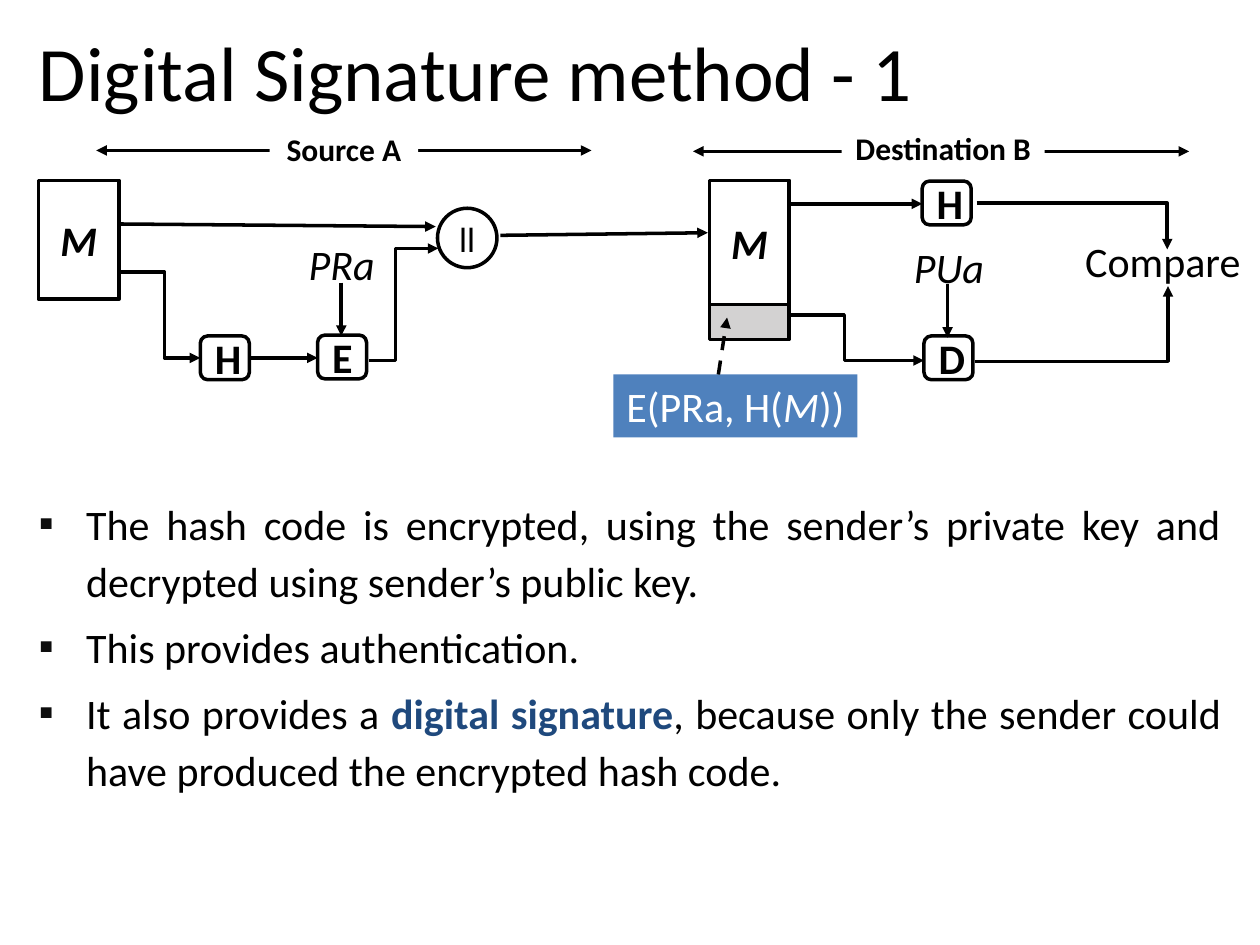
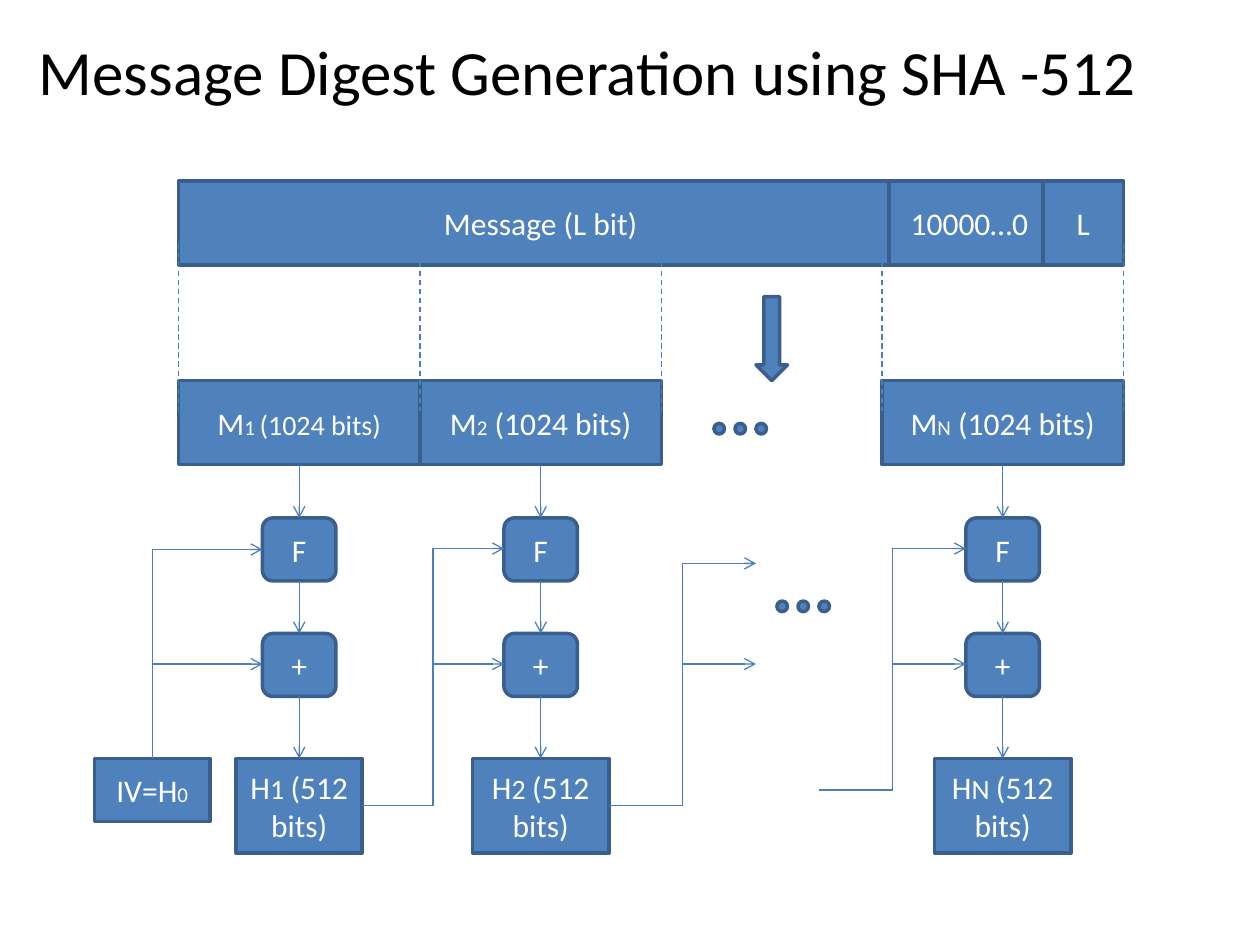
import dataclasses
import lxml.etree
import pptx
import pptx.dml.color
import pptx.enum.dml
import pptx.enum.shapes
import pptx.enum.text
import pptx.oxml.ns
import pptx.util


@dataclasses.dataclass(frozen=True)
class Theme:
    """Colours, font and type sizes shared by the slides."""
    font: str = "Calibri"
    black: str = "000000"
    white: str = "FFFFFF"
    grey: str = "D3D2D2"
    blue: str = "4F81BD"
    edge: str = "3A5F8C"
    wire: str = "4B7EBC"
    navy: str = "1F497D"
    dot: str = "0D0D0D"
    head: int = 44
    long_head: int = 36
    text: int = 24
    join: int = 20
    label: int = 18
    small: int = 16
    sub: int = 12
    bold_line: float = 2
    thin_line: float = 0.75


THEME = Theme()
SHAPE = pptx.enum.shapes.MSO_SHAPE
LINK = pptx.enum.shapes.MSO_CONNECTOR
ALIGN = pptx.enum.text.PP_ALIGN
ANCHOR = pptx.enum.text.MSO_ANCHOR
DASH = pptx.enum.dml.MSO_LINE.DASH


def rgb(code):
    """Turn a hex code into a colour."""
    return pptx.dml.color.RGBColor.from_string(code)


def node(parent, tag, **attrs):
    """Append one drawing element to its parent."""
    return lxml.etree.SubElement(parent, pptx.oxml.ns.qn(tag), attrs)


def add_run(para, text, size, color, bold=False, slant=False):
    """Add one formatted run."""
    run = para.add_run()
    run.text = text
    font = run.font
    font.name, font.size, font.bold, font.italic = THEME.font, pptx.util.Pt(size), bold, slant
    font.color.rgb = rgb(color)


def stroke(shape, color, width, head=None, tail=None, dash=None):
    """Style a line and its arrowheads."""
    line = shape.line
    line.color.rgb = rgb(color)
    line.width = pptx.util.Pt(width)
    if dash:
        line.dash_style = dash
    outline = shape._element.spPr.find(pptx.oxml.ns.qn("a:ln"))
    for tag, kind in (("a:headEnd", head), ("a:tailEnd", tail)):
        if kind:
            node(outline, tag, type=kind)


@dataclasses.dataclass
class Pane:
    """A region that places its parts from its own top left corner."""
    slide: object
    left: float
    top: float

    def spot(self, x, y):
        """Turn a local point into a slide point."""
        return pptx.util.Pt(self.left + x), pptx.util.Pt(self.top + y)

    def block(self, kind, box, runs=(), fill=None, edge=None, wrap=True):
        """Add a shape with centred runs of text, size, colour and style."""
        x, y, width, height = box
        shape = self.slide.shapes.add_shape(
            kind, *self.spot(x, y), pptx.util.Pt(width), pptx.util.Pt(height))
        shape.shadow.inherit = False
        if fill:
            shape.fill.solid()
            shape.fill.fore_color.rgb = rgb(fill)
        else:
            shape.fill.background()
        if edge:
            stroke(shape, edge, THEME.bold_line)
        else:
            shape.line.fill.background()
        frame = shape.text_frame
        frame.word_wrap = wrap
        frame.vertical_anchor = ANCHOR.MIDDLE
        para = frame.paragraphs[0]
        para.alignment = ALIGN.CENTER
        for run in runs:
            add_run(para, *run)

    def wire(self, start, end, color, width, kind=LINK.STRAIGHT, bend=None, **style):
        """Add a connector between two points."""
        line = self.slide.shapes.add_connector(kind, *self.spot(*start), *self.spot(*end))
        stroke(line, color, width, **style)
        props = line._element.spPr
        node(props, "a:effectLst")
        if bend:
            props.find(pptx.oxml.ns.qn("a:prstGeom")).set("prst", bend)

    def route(self, first, *rest):
        """Add a black path with corners that ends in an arrow."""
        path = self.slide.shapes.build_freeform(*self.spot(*first))
        path.add_line_segments([self.spot(*point) for point in rest], close=False)
        shape = path.convert_to_shape()
        shape.shadow.inherit = False
        shape.fill.background()
        stroke(shape, THEME.black, THEME.bold_line, tail="triangle")

    def ink(self, start, end, **style):
        """Add a heavy black arrow."""
        style.setdefault("tail", "triangle")
        self.wire(start, end, THEME.black, THEME.bold_line, **style)

    def thin(self, start, end, **style):
        """Add a thin blue line."""
        self.wire(start, end, THEME.wire, THEME.thin_line, **style)

    def white(self, kind, box, text, size=THEME.text, bold=True, slant=False):
        """Add a white box with a black edge."""
        self.block(kind, box, [(text, size, THEME.black, bold, slant)], THEME.white, THEME.black)

    def step(self, text, x, y):
        """Add one small rounded box of the signing flow."""
        self.white(SHAPE.ROUNDED_RECTANGLE, (x, y, 28, 25), text)

    def note(self, text, box, slant=False):
        """Add a plain label without a box."""
        self.block(SHAPE.RECTANGLE, box, [(text, THEME.text, THEME.black, False, slant)],
                   wrap=False)

    def span(self, text, left, right, y, box):
        """Add a two-way arrow with its name in the middle."""
        self.ink((left, y), (right, y), head="triangle")
        self.block(SHAPE.RECTANGLE, box, [(text, THEME.label, THEME.black, True)],
                   THEME.white, wrap=False)

    def solid(self, box, *parts, kind=SHAPE.RECTANGLE):
        """Add a blue box with parts of text and size."""
        self.block(kind, box, [(text, size, THEME.white) for text, size in parts],
                   THEME.blue, THEME.edge)

    def dots(self, x, y):
        """Add three dots in a row."""
        for i in range(3):
            self.solid((x + 12 * i, y, 6, 6), kind=SHAPE.FLOWCHART_CONNECTOR)


def place(holder, left, top, width, height):
    """Move a placeholder to its box and stop its text from shrinking."""
    holder.left, holder.top = pptx.util.Pt(left), pptx.util.Pt(top)
    holder.width, holder.height = pptx.util.Pt(width), pptx.util.Pt(height)
    holder.text_frame.auto_size = pptx.enum.text.MSO_AUTO_SIZE.NONE
    return holder.text_frame


def add_title(slide, text, size):
    """Fill the title placeholder."""
    frame = place(slide.shapes.title, 15, 8.5, 690, 63.5)
    frame.vertical_anchor = ANCHOR.MIDDLE
    para = frame.paragraphs[0]
    para.alignment = ALIGN.LEFT
    add_run(para, text, size, THEME.black)


def add_list(holder, items):
    """Fill the body with square bullets."""
    frame = place(holder, 15, 277, 690, 199.5)
    for i, item in enumerate(items):
        para = frame.add_paragraph() if i else frame.paragraphs[0]
        para.alignment = ALIGN.JUSTIFY
        para.line_spacing = 1.14
        props = para._p.get_or_add_pPr()
        props.set("marL", str(pptx.util.Pt(27)))
        props.set("indent", str(pptx.util.Pt(-27)))
        node(node(props, "a:buClr"), "a:srgbClr", val=THEME.dot)
        node(props, "a:buFont", typeface=THEME.font)
        node(props, "a:buChar", char="▪")
        for text, color, bold in item:
            add_run(para, text, THEME.text, color, bold)


def draw_source(pane):
    """Draw the signing side."""
    pane.step("H", 92.5, 118)
    pane.white(SHAPE.RECTANGLE, (0, 29, 46, 68), "M", slant=True)
    pane.route((46, 81.5), (72, 81.5), (72, 130.5), (92.5, 130.5))
    pane.ink((46, 54), (227, 55.5))
    pane.route((189, 132), (204, 132), (204, 68), (228.5, 68))
    pane.span("Source A", 33, 316, 12, (132, 1.5, 85, 19.5))
    pane.step("E", 159.5, 117.5)
    pane.note("PRa", (146, 58.5, 54.5, 36), True)
    pane.ink((173, 87.5), (173, 118))
    pane.white(SHAPE.OVAL, (228, 45, 34, 34), "ll", THEME.join, False)
    pane.ink((120.5, 130.5), (159.5, 130.5))
    pane.ink((264, 60.5), (382.5, 59))


def draw_target(pane):
    """Draw the checking side."""
    pane.span("Destination B", 46, 329.5, 12.5, (131, 0, 116, 21.5))
    pane.white(SHAPE.RECTANGLE, (55.5, 29, 45.5, 71), "M", slant=True)
    pane.block(SHAPE.RECTANGLE, (55.5, 100, 45.5, 20), fill=THEME.grey, edge=THEME.black)
    code = [("E(PRa, H(", False), ("M", True), ("))", False)]
    pane.block(SHAPE.RECTANGLE, (0.5, 140, 139.5, 36),
               [(text, THEME.text, THEME.white, False, slant) for text, slant in code],
               THEME.blue, wrap=False)
    pane.ink((60.5, 140), (65.5, 107.5), dash=DASH)
    pane.step("H", 177, 29.5)
    pane.ink((101, 42.5), (177, 42.5))
    pane.step("D", 178, 118)
    pane.note("PUa", (165, 60.5, 54.5, 36), True)
    pane.ink((191.5, 88), (191.5, 119))
    pane.route((101, 106), (132.5, 106), (132.5, 132), (178, 132))
    pane.note("Compare", (262, 57, 105, 36))
    pane.route((207, 132.5), (317.5, 132.5), (317.5, 89.5))
    pane.route((208, 42), (317, 42), (317, 68.5))


def draw_padded(pane):
    """Draw the padded message and the arrow to its blocks."""
    for text, x, width in (("Message (L bit)", 0, 414), ("10000…0", 406, 92), ("L", 494, 46)):
        pane.solid((x, 0, width, 48), (text, THEME.label))
    pane.solid((330, 66, 18, 48), kind=SHAPE.DOWN_ARROW)


def draw_cuts(pane):
    """Draw the dashed lines from the message to its blocks."""
    for x in (0, 138, 276, 402, 540):
        pane.thin((x, 36), (x, 131.5), dash=DASH)


def draw_chain(pane, mark, gap, size, width):
    """Draw one block with its round and its hash."""
    big = THEME.label
    mid = 69
    pane.solid((0, 0, 138, 48), ("M", big), (mark + gap, THEME.sub),
               ("(1024 bits)" if gap else " (1024 bits)", size))
    for text, y in (("F", 78.5), ("+", 144.5)):
        pane.solid((mid - 21, y, 42, 36), (text, big), kind=SHAPE.ROUNDED_RECTANGLE)
    pane.solid((mid - width / 2, 216, width, 54),
               ("H", big), (mark + " ", THEME.small), ("(512 bits)", big))
    for start, end in ((48, 78.5), (114.5, 144.5), (180.5, 216)):
        pane.thin((mid, start), (mid, end), tail="arrow")


def draw_feeds(pane, start, end, tops):
    """Draw elbow arrows from one hash to the next round."""
    for top in tops:
        pane.thin(start, (end, top), kind=LINK.ELBOW, tail="arrow")


def draw_seed(pane):
    """Draw the first value and its elbow arrows."""
    pane.solid((0, 0, 66, 36), ("IV=H", THEME.label), ("0", THEME.sub))
    for top in (-119.5, -54):
        pane.thin((96, top), (33, 0), kind=LINK.ELBOW, bend="bentConnector2", head="arrow")


def build_method(deck):
    """Build the signature slide."""
    slide = deck.slides.add_slide(deck.slide_layouts[1])
    add_title(slide, "Digital Signature method - 1", THEME.head)
    plain = (THEME.black, False)
    add_list(slide.placeholders[1], [
        [("The hash code is encrypted, using the sender’s private key and "
          "decrypted using sender’s public key.", *plain)],
        [("This provides authentication.", *plain)],
        [("It also provides a ", *plain), ("digital signature", THEME.navy, True),
         (", because only the sender could have produced the encrypted hash code.", *plain)]])
    draw_source(Pane(slide, 22, 74))
    draw_target(Pane(slide, 350, 74))


def build_digest(deck):
    """Build the digest slide."""
    slide = deck.slides.add_slide(deck.slide_layouts[5])
    add_title(slide, "Message Digest Generation using SHA -512", THEME.long_head)
    draw_padded(Pane(slide, 102, 103.5))
    for left, mark, gap, size, width in (
            (102, "1", " ", THEME.small, 72),
            (240, "2", "", THEME.label, 78),
            (504, "N", "", THEME.label, 78)):
        draw_chain(Pane(slide, left, 217.5), mark, gap, size, width)
    draw_cuts(Pane(slide, 102, 103.5))
    draw_seed(Pane(slide, 54, 433.5))
    flow = Pane(slide, 102, 217.5)
    draw_feeds(flow, (105, 243), 186, (96, 162))
    draw_feeds(flow, (246, 243), 330, (104.5, 162))
    draw_feeds(flow, (366, 234), 450, (96, 162))
    flow.dots(306, 24.5)
    flow.dots(342, 126)


def main():
    """Build and save the deck."""
    deck = pptx.Presentation()
    deck.slide_width, deck.slide_height = pptx.util.Pt(720), pptx.util.Pt(540)
    build_method(deck)
    build_digest(deck)
    deck.save("out.pptx")


if __name__ == "__main__":
    main()
